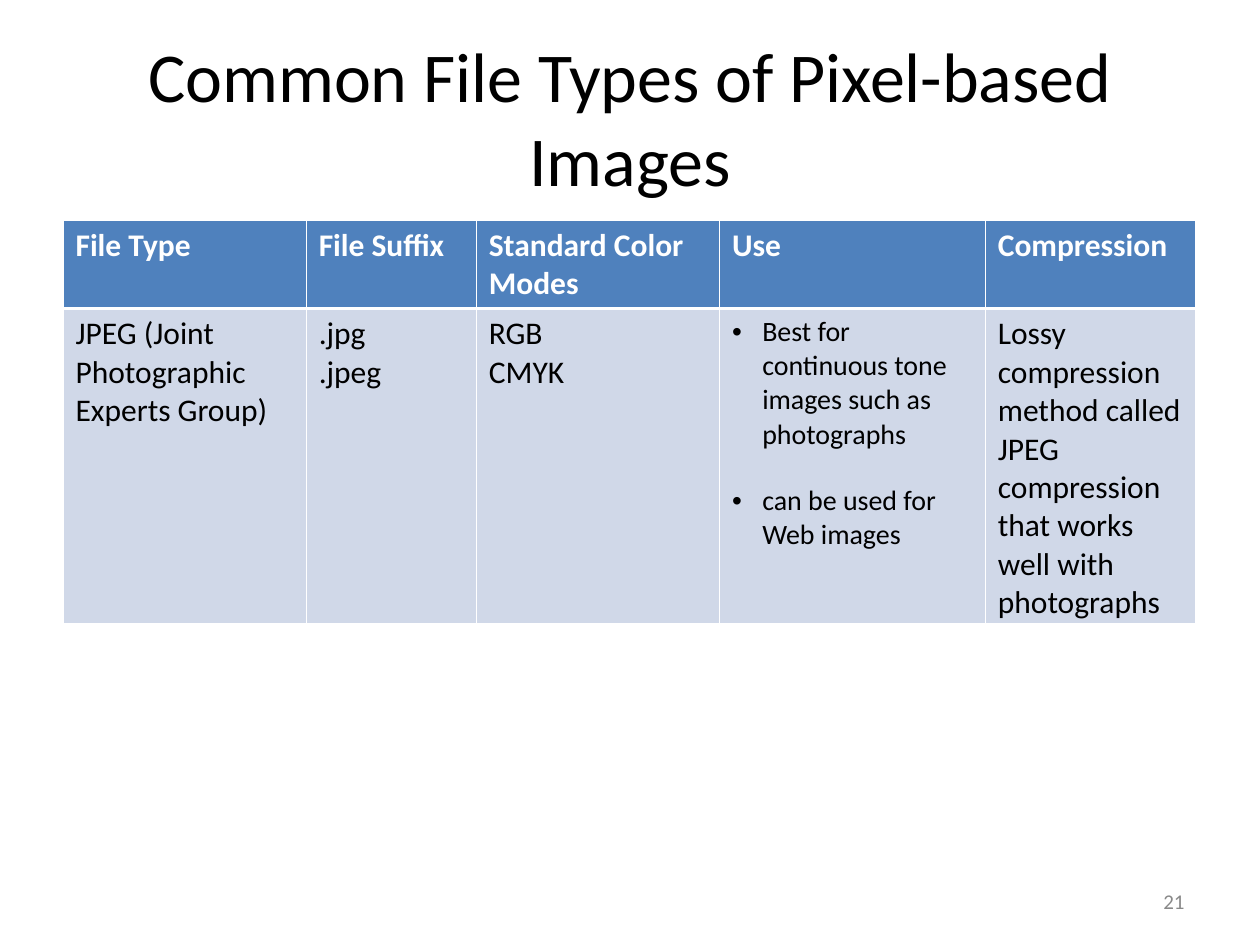
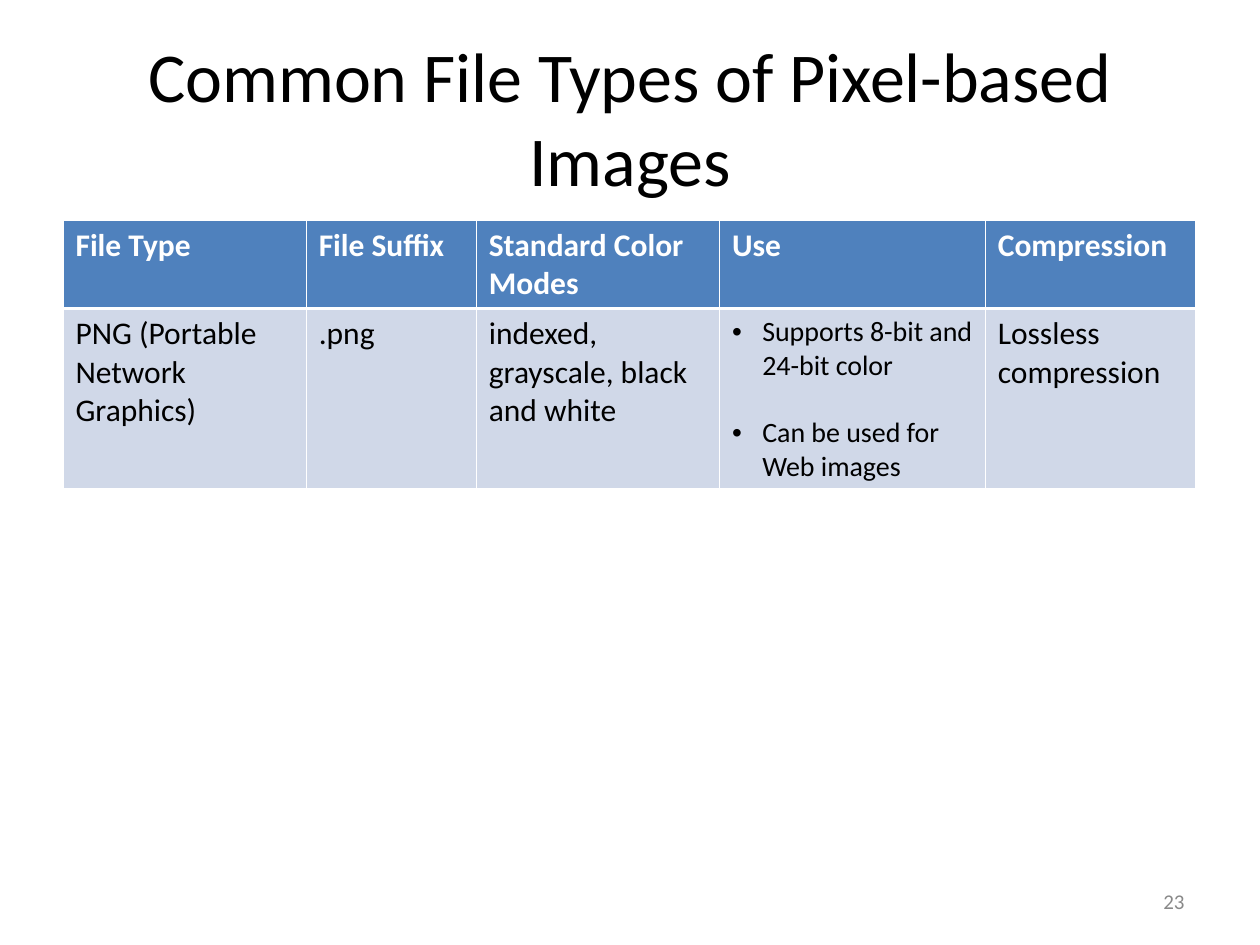
from dataclasses import dataclass

import pptx
import pptx.dml.color
import pptx.enum.text
import pptx.oxml.ns
import pptx.util
from lxml import etree

ANCHOR = pptx.enum.text.MSO_ANCHOR
ALIGN = pptx.enum.text.PP_ALIGN


@dataclass(frozen=True)
class Theme:
    font: str = "Calibri"
    ink: str = "000000"
    paper: str = "FFFFFF"
    header_fill: str = "4F81BD"
    body_fill: str = "D0D8E8"
    number_ink: str = "898989"
    title_size: float = 40
    table_size: float = 18
    use_size: float = 16
    number_size: float = 12
    use_gap: float = 18.5
    thin_rule: float = 0.45
    header_rule: float = 1.47


@dataclass(frozen=True)
class Area:
    """A rectangle in shares of the slide's width and height."""
    left: float
    top: float
    width: float
    height: float

    def lengths(self) -> tuple[int, int, int, int]:
        return (int(self.left * SLIDE_WIDTH), int(self.top * SLIDE_HEIGHT),
                int(self.width * SLIDE_WIDTH), int(self.height * SLIDE_HEIGHT))


@dataclass(frozen=True)
class FileFormat:
    """One file format; each field holds the paragraphs of its cell."""
    number: str
    body_height: float
    file_type: tuple[str, ...]
    suffix: tuple[str, ...]
    color_modes: tuple[str, ...]
    uses: tuple[str, ...]
    compression: tuple[str, ...]


THEME = Theme()
SLIDE_WIDTH = pptx.util.Inches(10)
SLIDE_HEIGHT = pptx.util.Inches(7.5)
TITLE = "Common File Types of Pixel-based Images"
TITLE_AREA = Area(0.05, 0.04, 0.9, 1 / 6)
NUMBER_AREA = Area(0.717, 0.927, 0.233, 0.053)
TABLE_LEFT, TABLE_TOP = 0.05, 0.233
HEADER_HEIGHT = 0.7
COLUMN_WIDTHS = (1.93, 1.35, 1.93, 2.11, 1.67)
USE_COLUMN = 3
BULLET_INDENT = pptx.util.Inches(0.24)
HEADINGS = (("File Type",), ("File Suffix",), ("Standard Color", "Modes"),
            ("Use",), ("Compression",))

FORMATS = (
    FileFormat(
        "21", 2.5,
        ("JPEG (Joint", "Photographic", "Experts Group)"),
        (".jpg", ".jpeg"),
        ("RGB", "CMYK"),
        ("Best for continuous tone images such as photographs",
         "can be used for Web images"),
        ("Lossy compression", "method called JPEG",
         "compression that works", "well with photographs")),
    FileFormat(
        "23", 1.43,
        ("PNG (Portable Network Graphics)",),
        (".png",),
        ("indexed, grayscale, black and white",),
        ("Supports 8-bit and 24-bit color", "Can be used for Web images"),
        ("Lossless compression",)),
)


def add_child(parent, tag: str, **attributes: str):
    return etree.SubElement(parent, pptx.oxml.ns.qn(tag), attributes)


def add_bullet(paragraph) -> None:
    properties = paragraph._p.get_or_add_pPr()
    properties.set("marL", str(BULLET_INDENT))
    properties.set("indent", str(-BULLET_INDENT))
    add_child(properties, "a:buFont", typeface="Arial")
    add_child(properties, "a:buChar", char="•")


def write_text(frame, *lines: str, size: float, color: str = THEME.ink,
               bold: bool = False, align=ALIGN.LEFT, bullets: bool = False,
               gap: float = 0) -> None:
    """Fill a text frame with one paragraph a line, gap points apart."""
    frame.word_wrap = True
    for index, line in enumerate(lines):
        paragraph = frame.add_paragraph() if index else frame.paragraphs[0]
        if bullets:
            add_bullet(paragraph)
        paragraph.alignment = align
        paragraph.space_before = pptx.util.Pt(gap if index else 0)
        run = paragraph.add_run()
        run.text = line
        run.font.name = THEME.font
        run.font.size = pptx.util.Pt(size)
        run.font.bold = bold
        run.font.color.rgb = pptx.dml.color.RGBColor.from_string(color)


def style_cell(cell, is_header: bool) -> None:
    """Draw the cell's white rules, then its fill."""
    heavy_side = "a:lnB" if is_header else "a:lnT"
    properties = cell._tc.get_or_add_tcPr()
    for side in ("a:lnL", "a:lnR", "a:lnT", "a:lnB"):
        width = THEME.header_rule if side == heavy_side else THEME.thin_rule
        rule = add_child(properties, side, w=str(pptx.util.Pt(width)))
        add_child(add_child(rule, "a:solidFill"), "a:srgbClr", val=THEME.paper)
    cell.fill.solid()
    fill = THEME.header_fill if is_header else THEME.body_fill
    cell.fill.fore_color.rgb = pptx.dml.color.RGBColor.from_string(fill)


def add_format_table(slide, file_format: FileFormat) -> None:
    heights = (HEADER_HEIGHT, file_format.body_height)
    area = Area(TABLE_LEFT, TABLE_TOP, sum(COLUMN_WIDTHS) / 10, sum(heights) / 7.5)
    table = slide.shapes.add_table(2, len(COLUMN_WIDTHS), *area.lengths()).table
    for column, width in zip(table.columns, COLUMN_WIDTHS):
        column.width = pptx.util.Inches(width)
    for row, height in zip(table.rows, heights):
        row.height = pptx.util.Inches(height)

    details = (file_format.file_type, file_format.suffix, file_format.color_modes,
               file_format.uses, file_format.compression)
    for column, (heading, detail) in enumerate(zip(HEADINGS, details)):
        header, body = table.cell(0, column), table.cell(1, column)
        style_cell(header, is_header=True)
        style_cell(body, is_header=False)
        write_text(header.text_frame, *heading, size=THEME.table_size,
                   color=THEME.paper, bold=True)
        if column == USE_COLUMN:
            write_text(body.text_frame, *detail, size=THEME.use_size,
                       bullets=True, gap=THEME.use_gap)
        else:
            write_text(body.text_frame, *detail, size=THEME.table_size)


def add_title(slide) -> None:
    title = slide.shapes.title
    title.left, title.top, title.width, title.height = TITLE_AREA.lengths()
    title.text_frame.auto_size = pptx.enum.text.MSO_AUTO_SIZE.NONE
    title.text_frame.vertical_anchor = ANCHOR.MIDDLE
    write_text(title.text_frame, TITLE, size=THEME.title_size, align=ALIGN.CENTER)


def add_slide_number(slide, number: str) -> None:
    frame = slide.shapes.add_textbox(*NUMBER_AREA.lengths()).text_frame
    frame.vertical_anchor = ANCHOR.MIDDLE
    write_text(frame, number, size=THEME.number_size, color=THEME.number_ink,
               align=ALIGN.RIGHT)


def main() -> None:
    deck = pptx.Presentation()
    deck.slide_width, deck.slide_height = SLIDE_WIDTH, SLIDE_HEIGHT
    title_only = deck.slide_layouts.get_by_name("Title Only")
    for file_format in FORMATS:
        slide = deck.slides.add_slide(title_only)
        add_title(slide)
        add_slide_number(slide, file_format.number)
        add_format_table(slide, file_format)
    deck.save("out.pptx")


if __name__ == "__main__":
    main()
